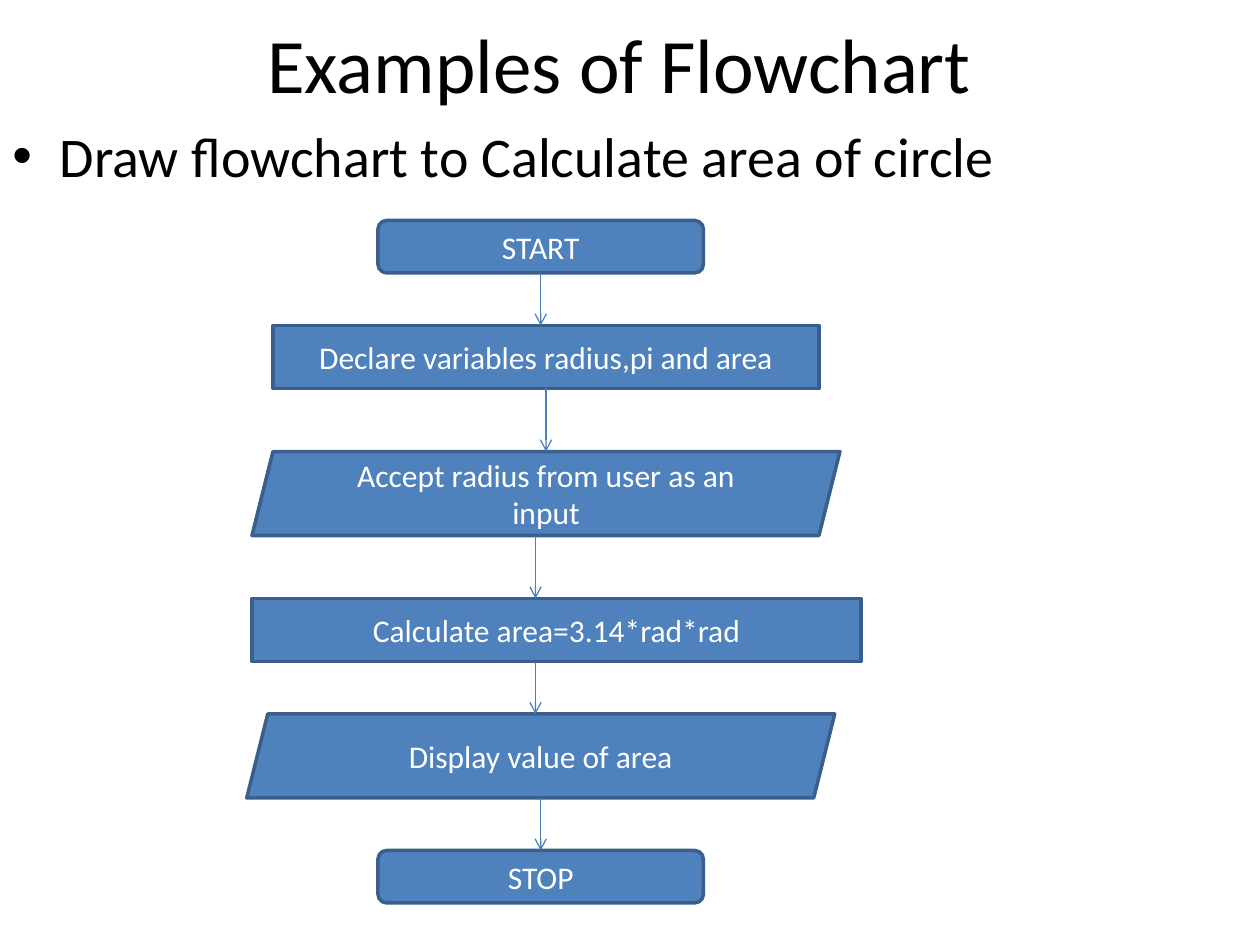
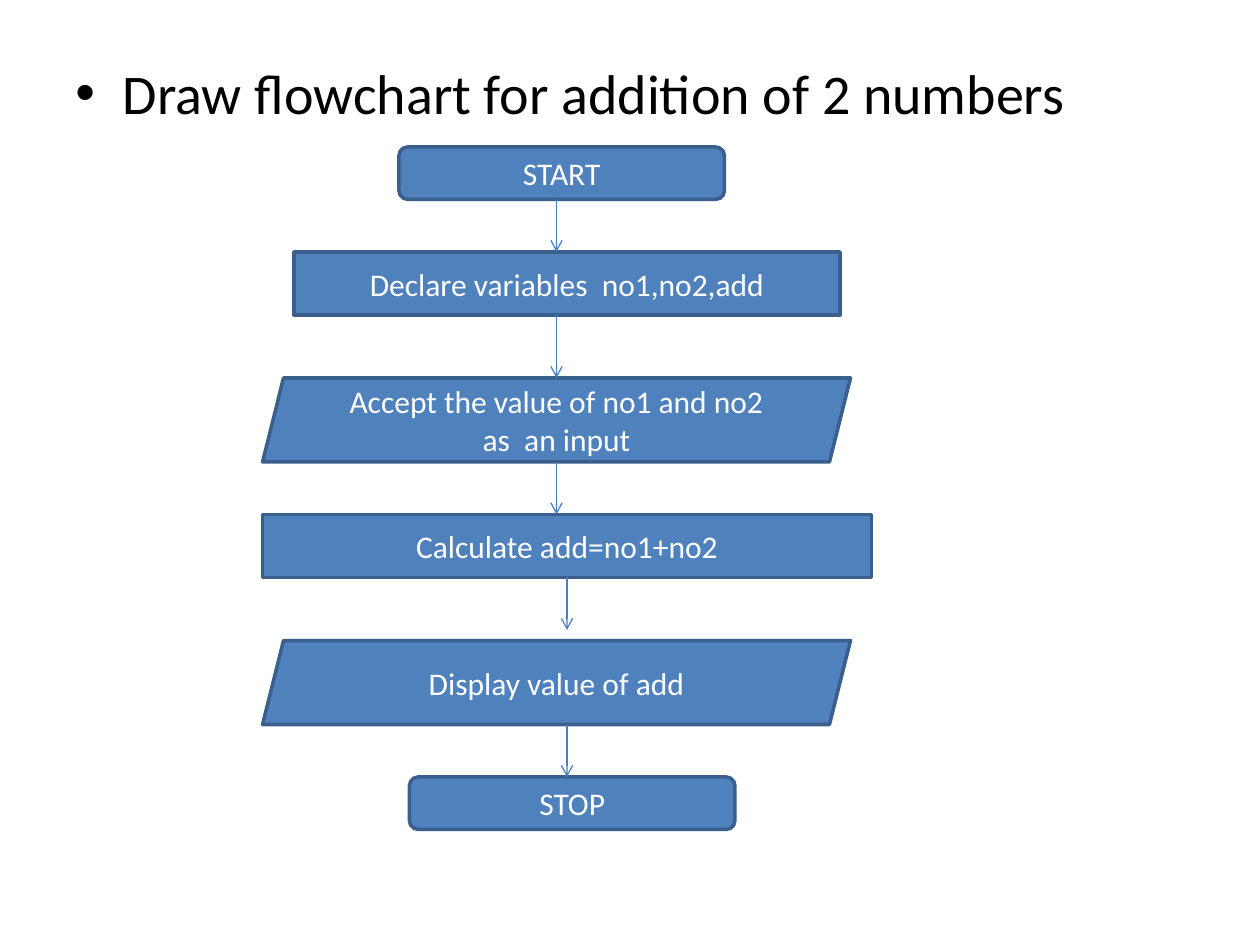
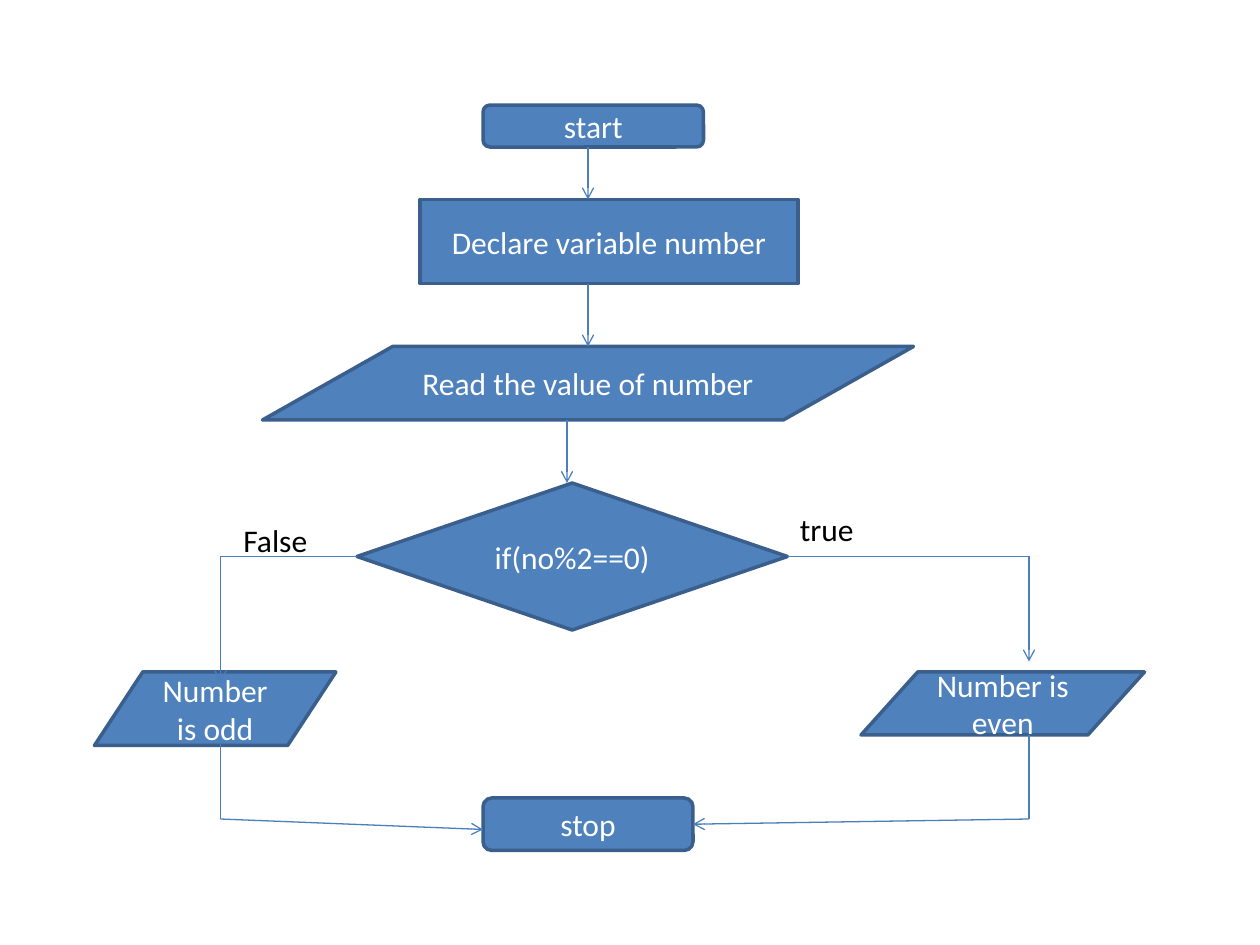
from itertools import pairwise

from lxml.etree import SubElement
from pptx import Presentation
from pptx.dml.color import RGBColor
from pptx.enum.shapes import MSO_CONNECTOR, MSO_SHAPE
from pptx.enum.text import MSO_ANCHOR, MSO_AUTO_SIZE, PP_ALIGN
from pptx.oxml.ns import qn
from pptx.util import Pt

FONT = "Calibri"
BLACK, WHITE = "000000", "FFFFFF"
BOX_FILL, BOX_LINE, ARROW_LINE = "4F81BD", "3A5F8C", "4B7EBC"
TITLE_ONLY, BLANK = 5, 6

TERMINAL = MSO_SHAPE.ROUNDED_RECTANGLE
PROCESS = MSO_SHAPE.RECTANGLE
DATA = MSO_SHAPE.PARALLELOGRAM
INPUT_OUTPUT = MSO_SHAPE.FLOWCHART_DATA
DECISION = MSO_SHAPE.DIAMOND

STEP_FORMS = [
    (TERMINAL, 186, 30),
    (PROCESS, 312, 36),
    (DATA, 336, 48),
    (PROCESS, 348, 36),
    (DATA, 336, 48),
    (TERMINAL, 186, 30),
]

CIRCLE_STEPS = [
    ("START", 75, 0),
    ("Declare variables radius,pi and area", 15, 60),
    ("Accept radius from user as an input", 3, 132),
    ("Calculate area=3.14*rad*rad", 3, 216),
    ("Display value of area", 0, 282),
    ("STOP", 75, 360),
]
CIRCLE_ARROWS = [(168, 0), (171, 0), (165, 0), (165, 0), (168, 0)]

ADDITION_STEPS = [
    ("START", 78, 0),
    ("Declare variables  no1,no2,add", 18, 60),
    ("Accept the value of no1 and no2 as  an input", 0, 132),
    ("Calculate add=no1+no2", 0, 210),
    ("Display value of add", 0, 282),
    ("STOP", 84, 360),
]
ADDITION_ARROWS = [(168, 0), (168, 0), (168, 0), (174, 6), (174, 0)]

PARITY_NODES = [
    (TERMINAL, "start", 222, 0, 126, 24),
    (PROCESS, "Declare variable number", 186, 54, 216, 48),
    (INPUT_OUTPUT, "Read the value of number", 96, 138, 372, 42),
    (DECISION, "if(no%2==0)", 150, 216, 246, 84),
    (INPUT_OUTPUT, "Number is even", 438, 324, 162, 36),
    (INPUT_OUTPUT, "Number is odd", 0, 324, 138, 42),
    (TERMINAL, "stop", 222, 396, 120, 30),
]
PARITY_ROUTES = [
    [(150, 258), (72, 258), (72, 330)],
    [(396, 258), (534, 258), (534, 318)],
    [(72, 360), (72, 408), (222, 414)],
    [(534, 360), (534, 408), (342, 411)],
    [(282, 24), (282, 54)],
    [(282, 102), (282, 138)],
    [(270, 180), (270, 216)],
]
BRANCH_LABELS = [("true", 396, 228), ("False", 78, 234)]


def color(value):
    return RGBColor.from_string(value)


def write_text(shape, text, size, text_color, alignment=PP_ALIGN.LEFT):
    frame = shape.text_frame
    frame.word_wrap = True
    frame.text = text
    paragraph = frame.paragraphs[0]
    paragraph.alignment = alignment
    paragraph.font.name = FONT
    paragraph.font.size = Pt(size)
    paragraph.font.color.rgb = color(text_color)
    return paragraph


def add_title(slide, text, left, top, width, height):
    title = slide.shapes.title
    title.left, title.top = Pt(left), Pt(top)
    title.width, title.height = Pt(width), Pt(height)
    title.text_frame.vertical_anchor = MSO_ANCHOR.MIDDLE
    write_text(title, text, 44, BLACK, PP_ALIGN.CENTER)


def add_text(slide, text, left, top, width, height, size):
    box = slide.shapes.add_textbox(Pt(left), Pt(top), Pt(width), Pt(height))
    return box, write_text(box, text, size, BLACK)


def add_task(slide, text, left, top, width, height):
    _, paragraph = add_text(slide, text, left, top, width, height, 32)
    paragraph.space_before = Pt(6.4)
    properties = paragraph._p.get_or_add_pPr()
    properties.set("marL", str(Pt(27)))
    properties.set("indent", str(Pt(-27)))
    SubElement(properties, qn("a:buFont"), typeface="Arial")
    SubElement(properties, qn("a:buChar"), char="•")


def add_node(slide, form, text, left, top, width, height):
    shape = slide.shapes.add_shape(form, Pt(left), Pt(top), Pt(width), Pt(height))
    shape.shadow.inherit = False
    shape.fill.solid()
    shape.fill.fore_color.rgb = color(BOX_FILL)
    shape.line.color.rgb = color(BOX_LINE)
    shape.line.width = Pt(2)
    shape.text_frame.vertical_anchor = MSO_ANCHOR.MIDDLE
    write_text(shape, text, 18, WHITE, PP_ALIGN.CENTER)


def add_route(slide, points, left, top):
    for (start_x, start_y), (end_x, end_y) in pairwise(points):
        connector = slide.shapes.add_connector(
            MSO_CONNECTOR.STRAIGHT,
            Pt(left + start_x), Pt(top + start_y), Pt(left + end_x), Pt(top + end_y),
        )
        connector.line.color.rgb = color(ARROW_LINE)
        connector.line.width = Pt(0.75)
        SubElement(connector._element.spPr, qn("a:effectLst"))
    line = connector._element.spPr.find(qn("a:ln"))
    SubElement(line, qn("a:tailEnd"), type="arrow")


def add_sequence(slide, steps, arrows, left, top):
    for (form, width, height), (text, x, y) in zip(STEP_FORMS, steps):
        add_node(slide, form, text, left + x, top + y, width, height)
    for index, (x, gap) in enumerate(arrows):
        start_y = steps[index][2] + STEP_FORMS[index][2]
        end_y = steps[index + 1][2] - gap
        add_route(slide, [(x, start_y), (x, end_y)], left, top)


def add_parity_chart(slide, left, top):
    for form, text, x, y, width, height in PARITY_NODES:
        add_node(slide, form, text, left + x, top + y, width, height)
    for points in PARITY_ROUTES:
        add_route(slide, points, left, top)
    for text, x, y in BRANCH_LABELS:
        box, _ = add_text(slide, text, left + x, top + y, 72, 29, 18)
        box.text_frame.auto_size = MSO_AUTO_SIZE.SHAPE_TO_FIT_TEXT


def main():
    presentation = Presentation()
    presentation.slide_width, presentation.slide_height = Pt(720), Pt(540)
    layouts = presentation.slide_layouts

    circle = presentation.slides.add_slide(layouts[TITLE_ONLY])
    add_title(circle, "Examples of Flowchart", 30, 6, 648, 60)
    add_task(circle, "Draw flowchart to Calculate area of circle", 0, 66, 720, 474)
    add_sequence(circle, CIRCLE_STEPS, CIRCLE_ARROWS, 141, 126)

    addition = presentation.slides.add_slide(layouts[BLANK])
    add_task(addition, "Draw flowchart for addition of 2 numbers", 36, 30, 648, 452)
    add_sequence(addition, ADDITION_STEPS, ADDITION_ARROWS, 150, 84)

    parity = presentation.slides.add_slide(layouts[BLANK])
    add_parity_chart(parity, 54, 60)

    presentation.save("out.pptx")


if __name__ == "__main__":
    main()
